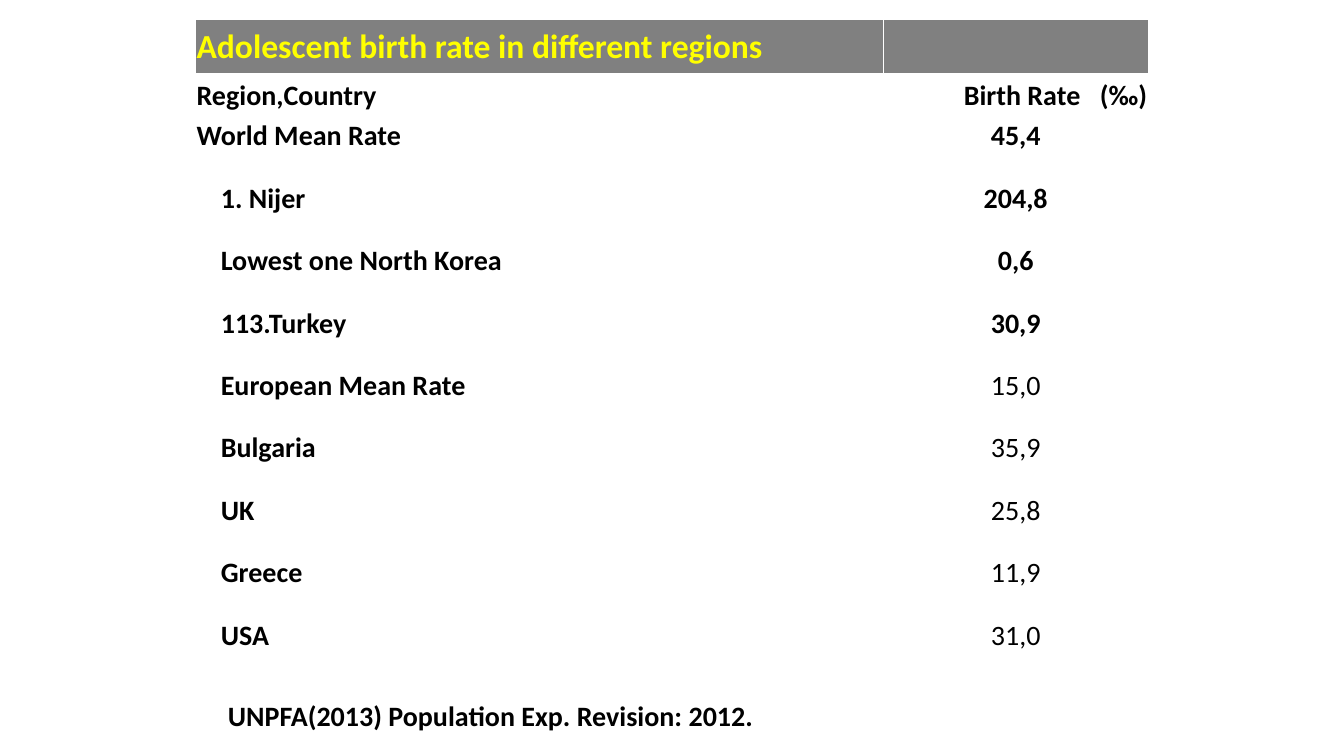
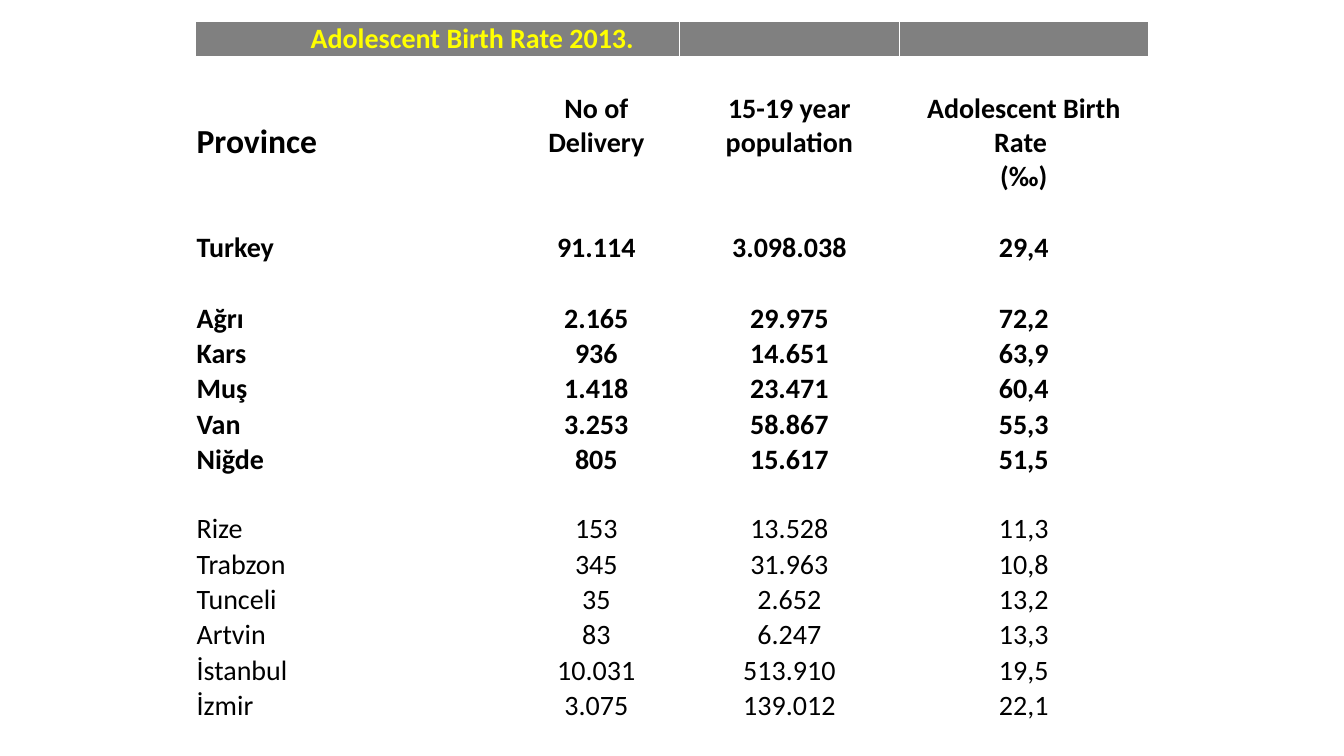
from dataclasses import dataclass

from lxml.etree import SubElement
from pptx import Presentation
from pptx.dml.color import RGBColor
from pptx.enum.text import MSO_ANCHOR, PP_ALIGN
from pptx.oxml import parse_xml
from pptx.oxml.ns import nsdecls, qn
from pptx.util import Inches, Pt


@dataclass(frozen=True)
class Theme:
    """Colours, type sizes and table measures shared by the slides."""
    font: str = "Calibri"
    ink: str = "000000"
    accent: str = "FFFF00"
    band: str = "808080"
    paper: str = "FFFFFF"
    heading: int = 24
    body: int = 20
    inset: float = 0.01
    border: int = 1


THEME = Theme()
SLIDE_SIZE = (13.33, 7.5)
BLANK_LAYOUT = 6
TABLE_LEFT, TABLE_WIDTH = 1.94, 9.45
INDENT = 0.25

REGION_COLUMNS = [6.82, 2.63]
REGION_ROWS = [0.54, 0.44, 0.35] + [0.62] * 8 + [0.81]
REGION_RATES = [
    ("World Mean Rate", "45,4"),
    ("1. Nijer", "204,8"),
    ("Lowest one North Korea", "0,6"),
    ("113.Turkey", "30,9"),
    ("European Mean Rate", "15,0"),
    ("Bulgaria", "35,9"),
    ("UK", "25,8"),
    ("Greece", "11,9"),
    ("USA", "31,0"),
]
BOLD_RATES = 4

PROVINCE_COLUMNS = [3.15, 1.65, 2.18, 2.47]
PROVINCE_ROWS = [0.35, 1.37] + [0.35] * 8 + [0.69] + [0.35] * 5 + [0.3]
PROVINCE_GROUPS = [
    (3, True, [("Turkey", "91.114", "3.098.038", "29,4")]),
    (5, True, [
        ("Ağrı", "2.165", "29.975", "72,2"),
        ("Kars", "936", "14.651", "63,9"),
        ("Muş", "1.418", "23.471", "60,4"),
        ("Van", "3.253", "58.867", "55,3"),
        ("Niğde", "805", "15.617", "51,5"),
    ]),
    (10, False, [
        ("Rize", "153", "13.528", "11,3"),
        ("Trabzon", "345", "31.963", "10,8"),
        ("Tunceli", "35", "2.652", "13,2"),
        ("Artvin", "83", "6.247", "13,3"),
        ("İstanbul", "10.031", "513.910", "19,5"),
        ("İzmir", "3.075", "139.012", "22,1"),
    ]),
]


def set_attributes(target, values):
    """Set each named attribute of the target."""
    for name, value in values.items():
        setattr(target, name, value)


def style_cell(cell, fill):
    """Give a cell its fill, insets and borders."""
    set_attributes(cell, {
        "margin_left": Inches(THEME.inset),
        "margin_right": Inches(THEME.inset),
        "margin_top": Inches(THEME.inset),
        "margin_bottom": 0,
        "vertical_anchor": MSO_ANCHOR.MIDDLE,
    })
    cell.fill.solid()
    cell.fill.fore_color.rgb = RGBColor.from_string(fill)
    properties = cell._tc.get_or_add_tcPr()
    for position, side in enumerate(("lnL", "lnR", "lnT", "lnB")):
        properties.insert(position, parse_xml(
            f'<a:{side} {nsdecls("a")} w="{Pt(THEME.border)}"><a:solidFill>'
            f'<a:srgbClr val="{THEME.paper}"/></a:solidFill></a:{side}>'))


def add_grid(slide, top, columns, rows):
    """Add a table with a band as first row and return it."""
    frame = slide.shapes.add_table(
        len(rows), len(columns), Inches(TABLE_LEFT), Inches(top),
        Inches(TABLE_WIDTH), Inches(sum(rows)))
    table = frame.table
    set_attributes(table, {"first_row": False, "horz_banding": False})
    for column, share in zip(table.columns, columns):
        column.width = Inches(TABLE_WIDTH * share / sum(columns))
    for index, (row, height) in enumerate(zip(table.rows, rows)):
        row.height = Inches(height)
        for cell in row.cells:
            style_cell(cell, THEME.paper if index else THEME.band)
    return table


def write_cell(cell, text, align=PP_ALIGN.LEFT, size=THEME.body, bold=True,
               color=THEME.ink, tab=None, **layout):
    """Write formatted text in a cell, with optional margins and anchor."""
    set_attributes(cell, layout)
    paragraph = cell.text_frame.paragraphs[0]
    paragraph.alignment = align
    if tab:
        stops = SubElement(paragraph._p.get_or_add_pPr(), qn("a:tabLst"))
        SubElement(stops, qn("a:tab"), pos=str(Inches(tab)), algn="l")
    for index, line in enumerate(text.split("\n")):
        if index:
            paragraph.add_line_break()
        run = paragraph.add_run()
        run.text = line
        set_attributes(run.font, {"name": THEME.font, "size": Pt(size), "bold": bold})
        run.font.color.rgb = RGBColor.from_string(color)


def build_region_slide(slide):
    """Build the table of birth rates by region and country."""
    table = add_grid(slide, 0.19, REGION_COLUMNS, REGION_ROWS)
    write_cell(table.cell(0, 0), "Adolescent birth rate in different regions",
               size=THEME.heading, color=THEME.accent)
    write_cell(table.cell(1, 0), "Region,Country")
    write_cell(table.cell(1, 1), "Birth Rate\t(‰)", tab=1.35, margin_left=Inches(0.8))
    bottom = {"vertical_anchor": MSO_ANCHOR.BOTTOM}
    for index, (region, rate) in enumerate(REGION_RATES):
        margin = INDENT if index else THEME.inset
        write_cell(table.cell(index + 2, 0), region, margin_left=Inches(margin), **bottom)
        write_cell(table.cell(index + 2, 1), rate, PP_ALIGN.CENTER,
                   bold=index < BOLD_RATES, **bottom)
    write_cell(table.cell(len(REGION_ROWS) - 1, 0),
               "UNPFA(2013) Population Exp. Revision: 2012.",
               margin_left=Inches(0.32), **bottom)


def build_province_slide(slide):
    """Build the table of deliveries, population and rates by province."""
    table = add_grid(slide, 0.21, PROVINCE_COLUMNS, PROVINCE_ROWS)
    table.cell(0, 0).merge(table.cell(0, 1))
    last_row = len(PROVINCE_ROWS) - 1
    table.cell(last_row, 0).merge(table.cell(last_row, len(PROVINCE_COLUMNS) - 1))
    write_cell(table.cell(0, 0), "Adolescent Birth Rate 2013.",
               color=THEME.accent, margin_left=Inches(1.14))
    write_cell(table.cell(1, 0), "Province", size=THEME.heading, margin_top=Inches(0.32))
    write_cell(table.cell(1, 1), "No of Delivery", PP_ALIGN.CENTER)
    write_cell(table.cell(1, 2), "15-19 year population", PP_ALIGN.CENTER)
    write_cell(table.cell(1, 3), "Adolescent Birth Rate \n(‰)", PP_ALIGN.CENTER,
               vertical_anchor=MSO_ANCHOR.BOTTOM,
               margin_left=Inches(0.1), margin_right=Inches(0.1))
    for first_row, bold, provinces in PROVINCE_GROUPS:
        for row, values in enumerate(provinces, first_row):
            for column, value in enumerate(values):
                write_cell(table.cell(row, column), value,
                           PP_ALIGN.CENTER if column else PP_ALIGN.LEFT,
                           bold=bold, vertical_anchor=MSO_ANCHOR.BOTTOM)


def main():
    """Build and save the presentation."""
    presentation = Presentation()
    width, height = SLIDE_SIZE
    set_attributes(presentation, {"slide_width": Inches(width),
                                  "slide_height": Inches(height)})
    for build in (build_region_slide, build_province_slide):
        build(presentation.slides.add_slide(presentation.slide_layouts[BLANK_LAYOUT]))
    presentation.save("out.pptx")


if __name__ == "__main__":
    main()
